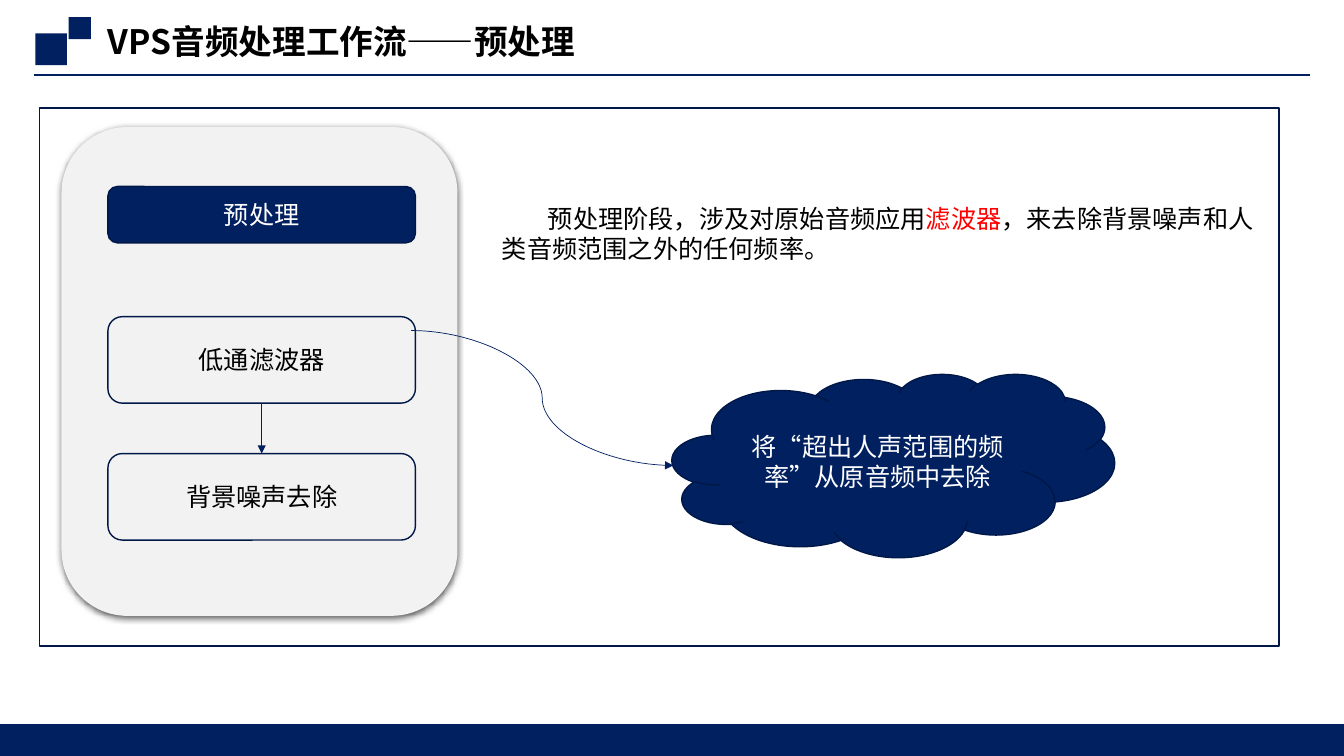
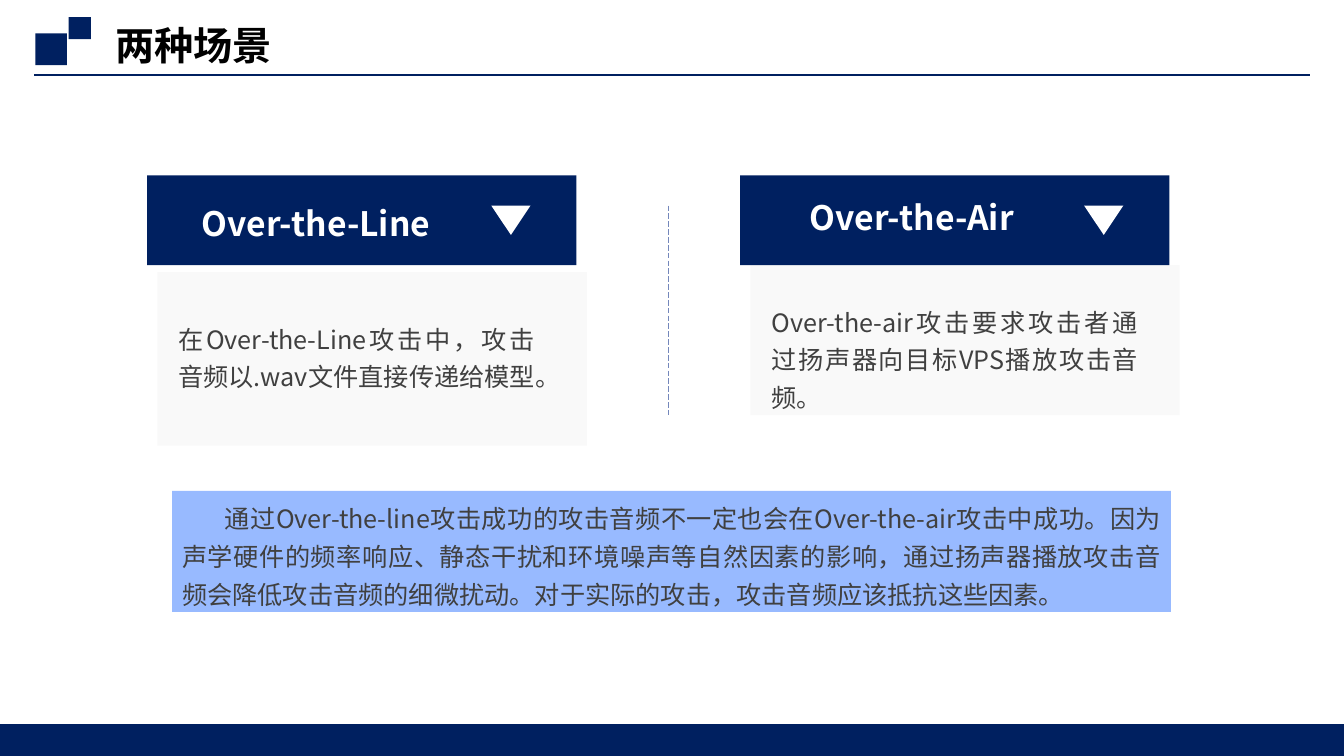
from lxml import etree
from pptx import Presentation
from pptx import util as u
from pptx.dml import color
from pptx.enum import dml, shapes, text
from pptx.oxml import ns

NAVY, EDGE, BLACK, WHITE = "002060", "001847", "000000", "FFFFFF"
GREY, INK, RED, SKY, DASH = "F2F2F2", "404040", "FF0000", "98BAFF", "7487BB"
FONT = "Noto Sans CJK SC"
WIDTH, HEIGHT = 33.87, 19.05
KIND = shapes.MSO_SHAPE
LINK = shapes.MSO_CONNECTOR
ALIGN = text.PP_ALIGN
ANCHOR = text.MSO_ANCHOR

# Content: places are (left, top, width, height) in cm
PREPROCESS = {
    "title": ("VPS音频处理工作流——预处理", 24, (2.72, 0.48, 30.84, 1.12)),
    # label, top, height, fill, text colour
    "steps": [
        ("预处理", 4.7, 1.42, NAVY, WHITE),
        ("低通滤波器", 7.98, 2.18, None, BLACK),
        ("背景噪声去除", 11.43, 2.18, None, BLACK),
    ],
    "summary": [
        ("预处理阶段，涉及对原始音频应用", BLACK),
        ("滤波器", RED),
        ("，来去除背景噪声和人类音频范围之外的任何频率。", BLACK),
    ],
    "cloud": "将“超出人声范围的频率”从原音频中去除",
}
SCENARIOS = {
    "title": ("两种场景", 28, (2.9, 0.53, 8.81, 1.22)),
    "cards": [
        {"left": 3.71, "name": "Over-the-Line", "name_at": (4.75, 4.98, 6.43, 1.27),
         "panel": (6.86, 4.37), "body_at": (4.24, 7.85, 9.5, 2.08),
         "body": "在Over-the-Line攻击中，攻击音频以.wav文件直接传递给模型。"},
        {"left": 18.65, "name": "Over-the-Air", "name_at": (20.02, 4.83, 5.92, 1.27),
         "panel": (6.68, 3.78), "body_at": (19.2, 7.42, 9.73, 3.05),
         "body": "Over-the-air攻击要求攻击者通过扬声器向目标VPS播放攻击音频。"},
    ],
    "note": "通过Over-the-line攻击成功的攻击音频不一定也会在Over-the-air攻击中成功。"
            "因为声学硬件的频率响应、静态干扰和环境噪声等自然因素的影响，"
            "通过扬声器播放攻击音频会降低攻击音频的细微扰动。"
            "对于实际的攻击，攻击音频应该抵抗这些因素。",
}


# Helpers
def rgb(value):
    return color.RGBColor.from_string(value)


def cm(*values):
    return [u.Cm(value) for value in values]


def child(parent, tag, **attributes):
    node = etree.SubElement(parent, ns.qn(tag))
    for key, value in attributes.items():
        node.set(key, str(value))
    return node


def write(shape, runs, size, align=ALIGN.LEFT, anchor=ANCHOR.TOP, bold=False,
          spacing=None, indent=0, wrap=True):
    """Fill a shape with one paragraph of (wording, colour) runs."""
    frame = shape.text_frame
    frame.word_wrap = wrap
    frame.vertical_anchor = anchor
    paragraph = frame.paragraphs[0]
    paragraph.alignment = align
    if spacing:
        paragraph.line_spacing = spacing
    if indent:
        paragraph._p.get_or_add_pPr().set("indent", str(u.Cm(indent)))
    for wording, ink in runs:
        run = paragraph.add_run()
        run.text = wording
        run.font.name, run.font.size, run.font.bold = FONT, u.Pt(size), bold
        run.font.color.rgb = rgb(ink)
        child(run.font._element, "a:ea", typeface=FONT)


def box(slide, kind, place, fill=None, line=None, alpha=None):
    shape = slide.shapes.add_shape(kind, *cm(*place))
    shape.shadow.inherit = False
    if fill:
        shape.fill.solid()
        shape.fill.fore_color.rgb = rgb(fill)
        if alpha:
            tint = shape._element.spPr.find(".//" + ns.qn("a:srgbClr"))
            child(tint, "a:alpha", val=alpha * 1000)
    else:
        shape.fill.background()
    if line:
        shape.line.color.rgb = rgb(line)
        shape.line.width = u.Pt(1)
    else:
        shape.line.fill.background()
    return shape


def textbox(slide, place, runs, size, **style):
    write(slide.shapes.add_textbox(*cm(*place)), runs, size, **style)


def connect(slide, kind, ends, ink, width, arrow=False):
    link = slide.shapes.add_connector(kind, *cm(*ends))
    link.line.color.rgb = rgb(ink)
    link.line.width = u.Pt(width)
    if arrow:
        child(link.line._get_or_add_ln(), "a:tailEnd", type="triangle")
    child(link._element.spPr, "a:effectLst")
    return link


def cast_shadow(shape):
    effects = shape._element.spPr.find(ns.qn("a:effectLst"))
    outer = child(effects, "a:outerShdw", blurRad=u.Pt(4.5), dist=u.Pt(1.5),
                  dir=90 * 60000, algn="t", rotWithShape=0)
    child(child(outer, "a:srgbClr", val=BLACK), "a:alpha", val=63000)


# Shared parts
def decorate(layout, slide):
    """Draw the header and footer and hand them over to the layout."""
    parts = [connect(slide, LINK.STRAIGHT, (0.86, 1.88, 33.02, 1.88), NAVY, 1.5)]
    for place in [(0.89, 0.84, 0.8, 0.8), (1.73, 0.43, 0.56, 0.56),
                  (0, 18.25, WIDTH, HEIGHT - 18.25)]:
        parts.append(box(slide, KIND.RECTANGLE, place, NAVY))
    for part in parts:
        layout.shapes.element.append(part._element)


def add_title(slide, wording, size, place):
    title = slide.shapes.title
    title.left, title.top, title.width, title.height = cm(*place)
    frame = title.text_frame
    frame.margin_left = frame.margin_top = frame.margin_right = frame.margin_bottom = 0
    frame.auto_size = text.MSO_AUTO_SIZE.NONE
    write(title, [(wording, BLACK)], size, anchor=ANCHOR.MIDDLE, bold=True)


# Slides
def build_preprocess(slide, content):
    add_title(slide, *content["title"])
    cast_shadow(box(slide, KIND.ROUNDED_RECTANGLE, (1.55, 3.2, 9.98, 12.32), GREY))
    box(slide, KIND.RECTANGLE, (0.99, 2.72, 31.24, 13.56), line=EDGE)

    # Steps, with an arrow from the second to the third
    steps = []
    for label, top, height, fill, ink in content["steps"]:
        step = box(slide, KIND.ROUNDED_RECTANGLE, (2.72, top, 7.75, height), fill, EDGE)
        write(step, [(label, ink)], 18, ALIGN.CENTER, ANCHOR.MIDDLE)
        steps.append(step)
    arrow = connect(slide, LINK.STRAIGHT, (6.6, 10.16, 6.6, 11.43), NAVY, 0.5, True)
    arrow.begin_connect(steps[1], 2)
    arrow.end_connect(steps[2], 0)

    # Explanation
    textbox(slide, (12.4, 5, 19.51, 1.8), content["summary"], 18, indent=1.16)
    cloud = box(slide, KIND.CLOUD, (16.94, 9.42, 11.15, 4.62), NAVY, EDGE)
    write(cloud, [(content["cloud"], WHITE)], 18, ALIGN.CENTER, ANCHOR.MIDDLE)
    connect(slide, LINK.CURVE, (10.36, 8.33, 16.97, 11.73), NAVY, 0.5, True)


def build_scenarios(slide, content):
    add_title(slide, *content["title"])
    divider = connect(slide, LINK.STRAIGHT, (16.84, 5.18, 16.84, 10.46), DASH, 0.5)
    divider.line.dash_style = dml.MSO_LINE.LONG_DASH

    # Cards
    for card in content["cards"]:
        left, (panel_top, panel_height) = card["left"], card["panel"]
        box(slide, KIND.RECTANGLE, (left + 0.26, panel_top, 10.82, panel_height),
            GREY, alpha=40)
        box(slide, KIND.RECTANGLE, (left, 4.42, 10.82, 2.26), NAVY)
        textbox(slide, card["body_at"], [(card["body"], INK)], 18,
                align=ALIGN.JUSTIFY, spacing=1.25)
        marker = box(slide, KIND.ISOSCELES_TRIANGLE, (left + 8.67, 5.18, 0.99, 0.74), WHITE)
        marker.rotation = 180
        textbox(slide, card["name_at"], [(card["name"], WHITE)], 24,
                align=ALIGN.CENTER, bold=True, wrap=False)

    # Conclusion
    note = box(slide, KIND.RECTANGLE, (4.34, 12.37, 25.17, 3.05), SKY)
    write(note, [(content["note"], INK)], 18, ALIGN.JUSTIFY, spacing=1.25, indent=1.08)


def main():
    deck = Presentation()
    deck.slide_width, deck.slide_height = cm(WIDTH, HEIGHT)
    layout = deck.slide_layouts.get_by_name("Title Only")
    first, second = [deck.slides.add_slide(layout) for _ in range(2)]
    decorate(layout, first)
    build_preprocess(first, PREPROCESS)
    build_scenarios(second, SCENARIOS)
    deck.save("out.pptx")


if __name__ == "__main__":
    main()
